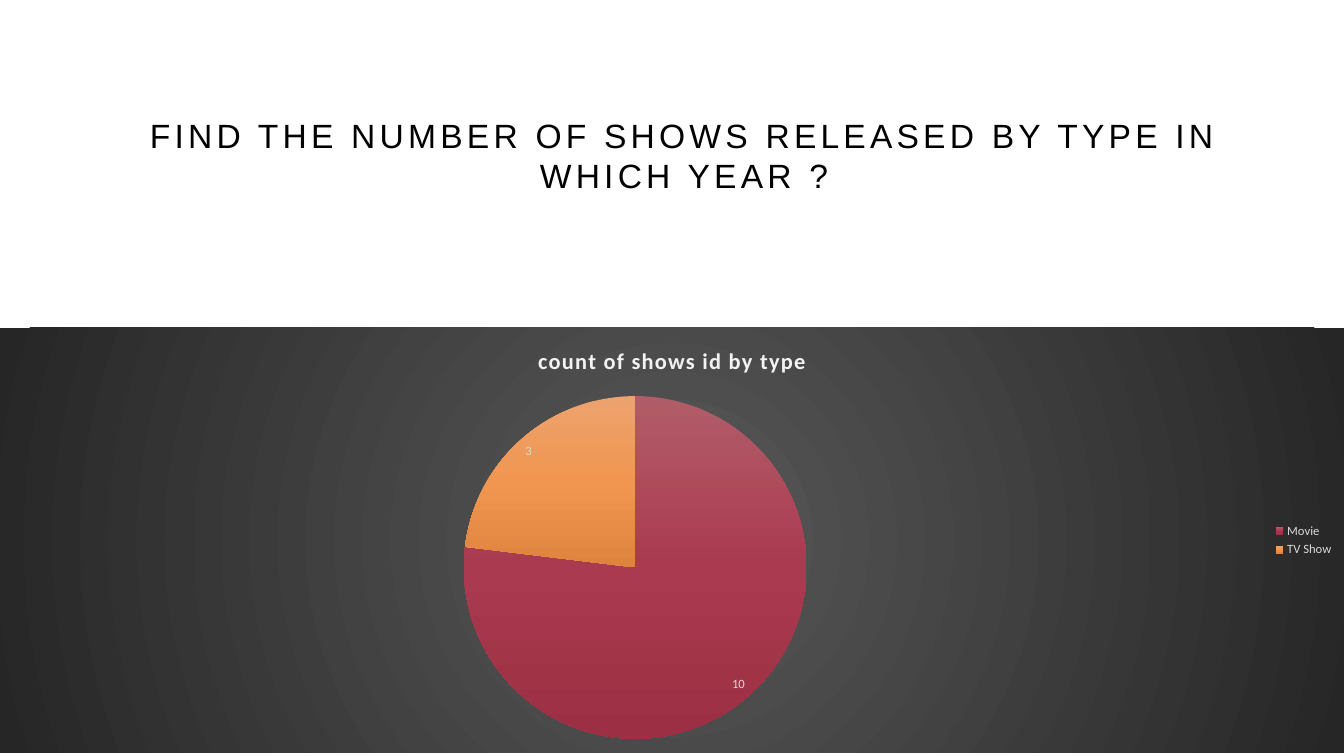
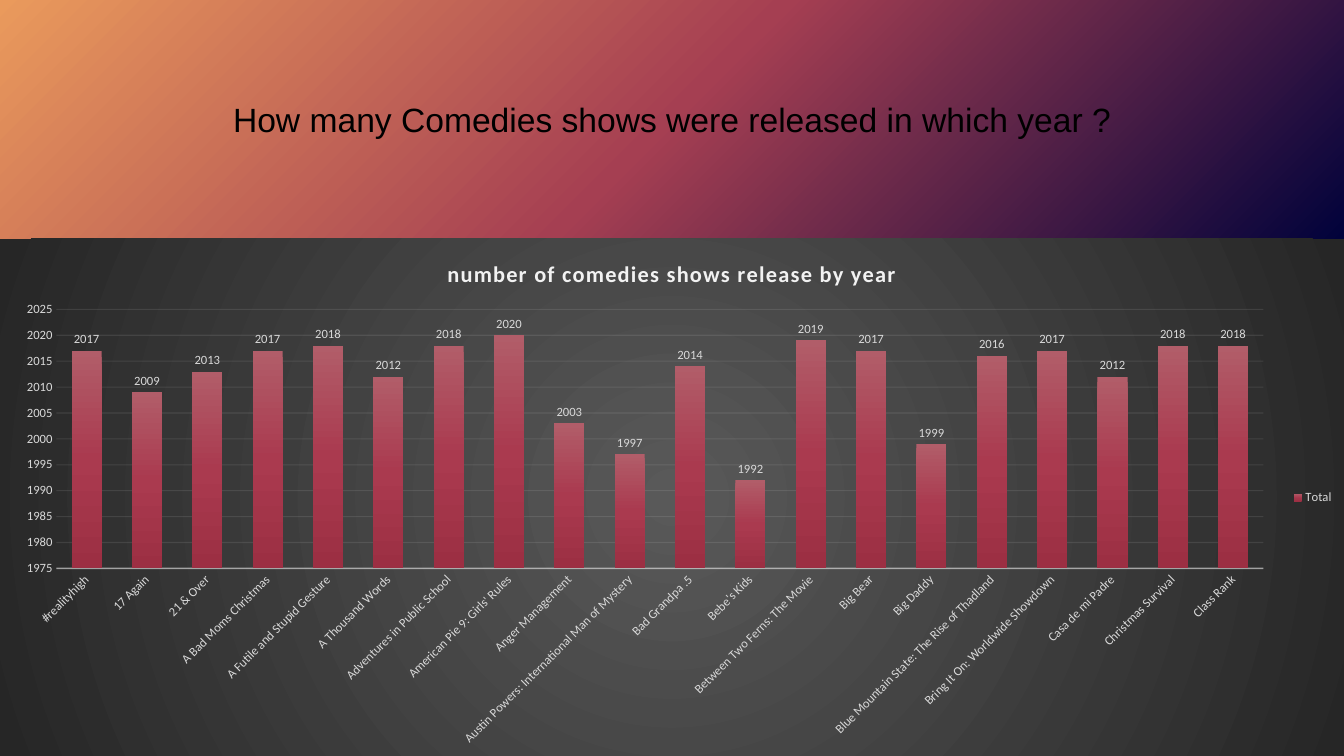
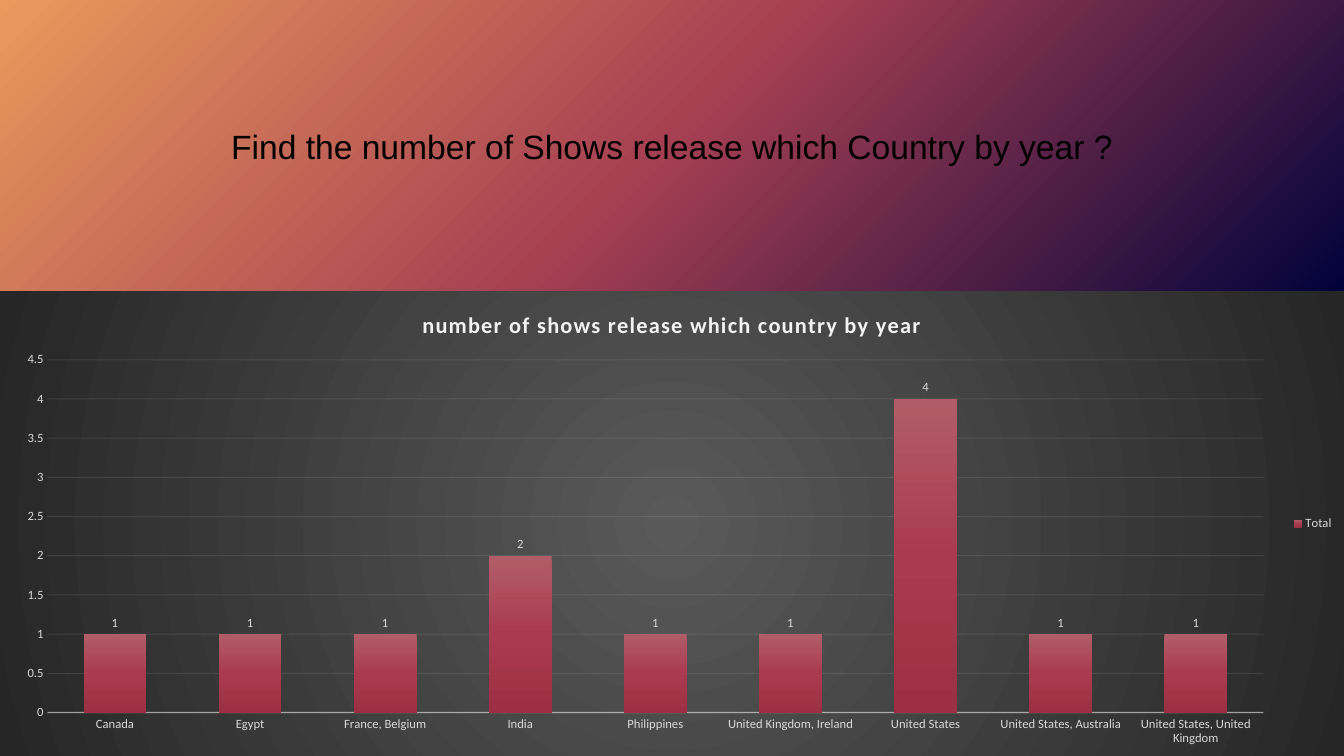
"""Three slides, each a question above a dark chart."""
from dataclasses import dataclass

from pptx import Presentation
from pptx.chart.data import CategoryChartData
from pptx.dml.color import RGBColor
from pptx.enum import chart as ch, shapes, text
from pptx.oxml import parse_xml
from pptx.oxml.ns import nsdecls
from pptx.util import Inches, Pt


@dataclass(frozen=True)
class Theme:
    """Colours, fonts and type sizes of the deck."""

    wide: float = 13.33
    high: float = 7.5
    head: str = "Arial"
    body: str = "Calibri"
    ask: int = 24
    title: int = 16
    base: int = 10
    small: int = 9
    ink: str = "000000"
    pale: str = "F2F2F2"
    soft: str = "D9D9D9"
    dark: tuple = ((0, "595959"), (100, "262626"))
    dusk: tuple = ((0, "01023B"), (50, "A53F52"), (100, "EA9A5C"))
    red: tuple = ((0, "B15D69"), (50, "AA3A4F"), (100, "9C2F43"))
    gold: tuple = ((0, "EDA36F"), (50, "F09650"), (100, "DE843E"))


T = Theme()
DOWN = '<a:lin ang="5400000" scaled="0"/>'
GLOW = '<a:path path="circle"><a:fillToRect l="50000" t="50000" r="50000" b="50000"/></a:path>'
CORNER = (
    '<a:path path="circle"><a:fillToRect l="100000" t="100000"/></a:path>'
    '<a:tileRect r="-100000" b="-100000"/>'
)


def paint(fill, stops, way):
    """Swap a solid fill element for a gradient."""
    marks = "".join(
        f'<a:gs pos="{at * 1000}"><a:srgbClr val="{tone}"/></a:gs>' for at, tone in stops
    )
    grad = parse_xml(
        f'<a:gradFill {nsdecls("a")} rotWithShape="1"><a:gsLst>{marks}</a:gsLst>{way}</a:gradFill>'
    )
    fill.getparent().replace(fill, grad)


def style(font, size, tone, name=T.body, bold=False):
    """Set the face, size and colour of a font."""
    font.name, font.size, font.bold = name, Pt(size), bold
    font.color.rgb = RGBColor.from_string(tone)


def space(root, points):
    """Set the letter spacing of paragraph fonts under an element."""
    for font in root.xpath(".//a:pPr/a:defRPr"):
        font.set("spc", str(points * 100))


def fade(root, path, share):
    """Make the colour found at a path partly transparent."""
    for tone in root.xpath(path):
        tone.append(parse_xml(f'<a:alpha {nsdecls("a")} val="{share * 1000}"/>'))


def ask(shape, words):
    """Write a centred question into a shape."""
    frame = shape.text_frame
    frame.word_wrap = True
    frame.vertical_anchor = text.MSO_ANCHOR.MIDDLE
    para = frame.paragraphs[0]
    para.text = words
    para.alignment = text.PP_ALIGN.CENTER
    style(para.font, T.ask, T.ink, T.head)


def plain(slide, box, words):
    """Place a widely spaced question on the bare page."""
    shape = slide.shapes.add_textbox(*map(Inches, box))
    ask(shape, words)
    space(shape.element, 3)


def band(slide, high, words):
    """Place a question on a full-width gradient band."""
    shape = slide.shapes.add_shape(
        shapes.MSO_SHAPE.RECTANGLE, 0, 0, Inches(T.wide), Inches(high)
    )
    shape.shadow.inherit = False
    shape.line.fill.background()
    shape.fill.solid()
    paint(shape.element.xpath("./p:spPr/a:solidFill")[0], T.dusk, CORNER)
    ask(shape, words)


def frame(root, box, plot):
    """Fix the inner plot area, given in inches from the chart corner."""
    area = root.xpath(".//c:plotArea")[0]
    for old in area.xpath("./c:layout"):
        area.remove(old)
    wide, high = box[2:]
    parts = zip("xywh", plot, (wide, high, wide, high))
    sizes = "".join(f'<c:{key} val="{part / whole:.4f}"/>' for key, part, whole in parts)
    area.insert(0, parse_xml(
        f'<c:layout {nsdecls("c")}><c:manualLayout><c:layoutTarget val="inner"/>'
        f'<c:xMode val="edge"/><c:yMode val="edge"/>{sizes}</c:manualLayout></c:layout>'
    ))


def graph(slide, kind, box, plot, title, name, rows, spot):
    """Place a dark chart with its title, legend and value labels."""
    data = CategoryChartData()
    data.categories = [row[0] for row in rows]
    data.add_series(name, [row[1] for row in rows])
    chart = slide.shapes.add_chart(kind, *map(Inches, box), data).chart
    root = chart.element
    style(chart.font, T.base, T.ink)
    root.xpath("./c:chart")[0].addnext(parse_xml(
        f'<c:spPr {nsdecls("c", "a")}><a:solidFill/><a:ln><a:noFill/></a:ln></c:spPr>'
    ))
    paint(root.xpath("./c:spPr/a:solidFill")[0], T.dark, GLOW)
    chart.has_title = True
    para = chart.chart_title.text_frame.paragraphs[0]
    para.text = title
    style(para.font, T.title, T.pale, bold=True)
    space(root.xpath(".//c:title")[0], 1)
    chart.chart_title.include_in_layout = False
    chart.has_legend = True
    chart.legend.position = ch.XL_LEGEND_POSITION.RIGHT
    chart.legend.include_in_layout = False
    style(chart.legend.font, T.small, T.soft)
    chart.plots[0].has_data_labels = True
    labels = chart.plots[0].data_labels
    labels.show_value = True
    labels.show_percentage = False
    labels.position = spot
    style(labels.font, T.small, T.soft)
    frame(root, box, plot)
    return chart


def pie(slide, box, plot, title, name, rows):
    """Place a pie with one gradient for each slice."""
    chart = graph(slide, ch.XL_CHART_TYPE.PIE, box, plot, title, name, rows,
                  ch.XL_LABEL_POSITION.INSIDE_END)
    chart.plots[0].vary_by_categories = True
    for spot, stops in enumerate((T.red, T.gold)):
        chart.series[0].points[spot].format.fill.solid()
        paint(chart.element.xpath(".//c:dPt/c:spPr/a:solidFill")[0], stops, DOWN)


def bars(slide, top, plot, title, rows, scale, gap, lap=0, turn=0):
    """Place a column chart from a given top down to the page foot."""
    box = (0, top, T.wide, T.high - top)
    chart = graph(slide, ch.XL_CHART_TYPE.COLUMN_CLUSTERED, box, plot, title, "Total",
                  rows, ch.XL_LABEL_POSITION.OUTSIDE_END)
    root, cols = chart.element, chart.plots[0]
    cols.vary_by_categories = False
    cols.gap_width, cols.overlap = gap, lap
    chart.series[0].format.fill.solid()
    paint(root.xpath(".//c:ser/c:spPr/a:solidFill")[0], T.red, DOWN)
    cats, vals = chart.category_axis, chart.value_axis
    for axis in (cats, vals):
        axis.major_tick_mark = axis.minor_tick_mark = ch.XL_TICK_MARK.NONE
        style(axis.tick_labels.font, T.small, T.soft)
    vals.minimum_scale, vals.maximum_scale, vals.major_unit = scale
    vals.format.line.fill.background()
    vals.has_major_gridlines = True
    for line, width in ((cats.format.line, 1), (vals.major_gridlines.format.line, 0.75)):
        line.width = Pt(width)
        line.color.rgb = RGBColor.from_string(T.pale)
    fade(root, ".//c:catAx/c:spPr/a:ln//a:srgbClr", 54)
    fade(root, ".//c:majorGridlines//a:srgbClr", 10)
    root.xpath(".//c:catAx/c:txPr/a:bodyPr")[0].set("rot", str(turn * 60000))


KINDS = [("Movie", 10), ("TV Show", 3)]
FILMS = [
    ("#realityhigh", 2017),
    ("17 Again", 2009),
    ("21 & Over", 2013),
    ("A Bad Moms Christmas", 2017),
    ("A Futile and Stupid Gesture", 2018),
    ("A Thousand Words", 2012),
    ("Adventures in Public School", 2018),
    ("American Pie 9: Girls' Rules", 2020),
    ("Anger Management", 2003),
    ("Austin Powers: International Man of Mystery", 1997),
    ("Bad Grandpa .5", 2014),
    ("Bebe's Kids", 1992),
    ("Between Two Ferns: The Movie", 2019),
    ("Big Bear", 2017),
    ("Big Daddy", 1999),
    ("Blue Mountain State: The Rise of Thadland", 2016),
    ("Bring It On: Worldwide Showdown", 2017),
    ("Casa de mi Padre", 2012),
    ("Christmas Survival", 2018),
    ("Class Rank", 2018),
]
LANDS = [
    ("Canada", 1),
    ("Egypt", 1),
    ("France, Belgium", 1),
    ("India", 2),
    ("Philippines", 1),
    ("United Kingdom, Ireland", 1),
    ("United States", 4),
    ("United States, Australia", 1),
    ("United States, United Kingdom", 1),
]


def main():
    """Build the deck and save it."""
    deck = Presentation()
    deck.slide_width, deck.slide_height = Inches(T.wide), Inches(T.high)
    types, films, lands = (deck.slides.add_slide(deck.slide_layouts[6]) for _ in range(3))

    plain(types, (0.86, 0.33, 11.85, 2.41),
          "FIND THE NUMBER OF SHOWS RELEASED BY TYPE IN WHICH YEAR ?")
    pie(types, (0, 3.25, T.wide, 4.22), (4.6, 0.68, 3.4, 3.4),
        "count of shows id by type", "Series 1", KINDS)

    top = 2.37
    band(films, top, "How many Comedies shows were released in which year ?")
    bars(films, top, (0.56, 0.7, 11.97, 2.57), "number of comedies shows release by year",
         FILMS, (1975, 2025, 5), gap=100, lap=-24, turn=-45)

    top = 2.89
    band(lands, top, "Find the number of Shows release which Country by year ?")
    bars(lands, top, (0.47, 0.68, 12.06, 3.5), "number of shows release which country by year",
         LANDS, (0, 4.5, 0.5), gap=115)

    deck.save("out.pptx")


if __name__ == "__main__":
    main()
